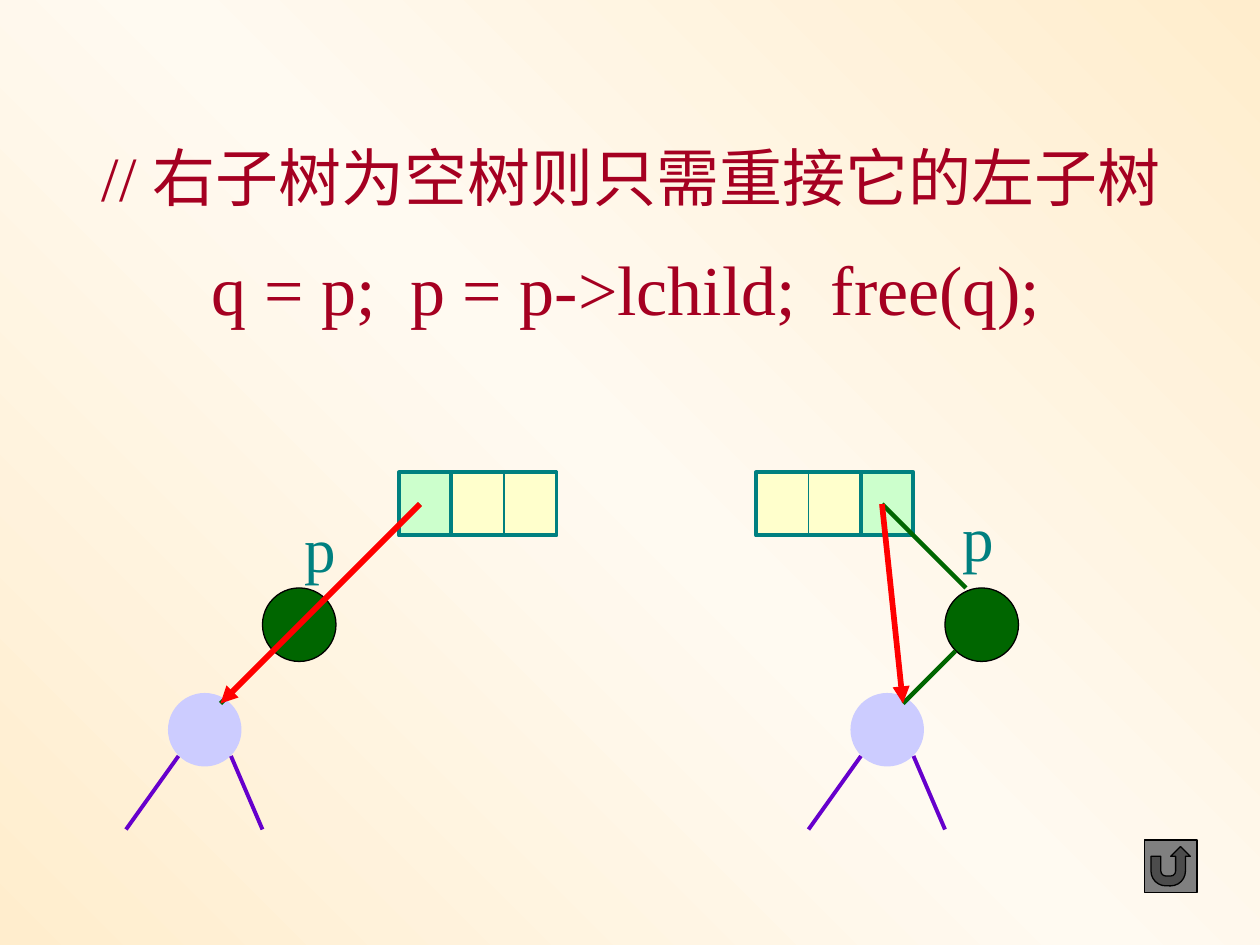
from copy import deepcopy

from pptx import Presentation
from pptx.dml.color import RGBColor
from pptx.enum.shapes import MSO_CONNECTOR, MSO_SHAPE
from pptx.oxml.ns import qn
from pptx.oxml.xmlchemy import OxmlElement
from pptx.util import Inches, Pt

RECTANGLE = MSO_SHAPE.RECTANGLE
OVAL = MSO_SHAPE.OVAL
RETURN_BUTTON = MSO_SHAPE.ACTION_BUTTON_RETURN
STRAIGHT = MSO_CONNECTOR.STRAIGHT

COLORS = {
    "edge_tint": "FFEDCD", "middle_tint": "FFFAF1", "code": "A50021",
    "teal": "008080", "link": "CCFFCC", "data": "FFFFCC",
    "removed": "006600", "child": "CCCCFF", "branch": "6600CC",
    "new_link": "FF0000", "button": "808080", "outline": "000000",
}
COLUMNS, ROWS = 120, 90  # square grid, twelve units to the inch


def color(name):
    return RGBColor.from_string(COLORS[name])


class TreeSlide:
    """Draws on one slide; all lengths are grid columns and rows."""

    font_name = "Times New Roman"

    def __init__(self, deck):
        self.column = deck.slide_width / COLUMNS
        self.row = deck.slide_height / ROWS
        self.page = deck.slides.add_slide(deck.slide_layouts[6])

    def place(self, *lengths):
        units = (self.column, self.row) * 2
        return [round(length * unit) for length, unit in zip(lengths, units)]

    def background(self, names, angle):
        fill = self.page.background.fill
        fill.gradient()
        fill.gradient_angle = angle
        stop_list = self.page._element.find(".//" + qn("a:gsLst"))
        stop_list.insert(1, deepcopy(stop_list[0]))
        for index, (stop, name) in enumerate(zip(fill.gradient_stops, names)):
            stop.color.rgb = color(name)
            stop.position = index / (len(names) - 1)

    def text(self, words, area, size, name, wrap=False, spacing=None):
        box = self.page.shapes.add_textbox(*self.place(*area))
        box.text_frame.word_wrap = wrap
        para = box.text_frame.paragraphs[0]
        para.line_spacing = spacing
        span = para.add_run()
        span.text = words
        for key, value in {"name": self.font_name, "size": Pt(size)}.items():
            setattr(span.font, key, value)
        span.font.color.rgb = color(name)

    def shape(self, kind, area, fill, line=None, width=0.75):
        shape = self.page.shapes.add_shape(kind, *self.place(*area))
        shape.shadow.inherit = False
        shape.fill.solid()
        shape.fill.fore_color.rgb = color(fill)
        if line:
            shape.line.color.rgb = color(line)
            shape.line.width = Pt(width)
        else:
            shape.line.fill.background()
        return shape

    def line(self, start, end, name, width, arrow=False):
        line = self.page.shapes.add_connector(
            STRAIGHT, *self.place(*start, *end))
        line.line.color.rgb = color(name)
        line.line.width = Pt(width)
        if arrow:
            head = OxmlElement("a:tailEnd")
            head.set("type", "triangle")
            line.line._get_or_add_ln().append(head)
        line._element.spPr.append(OxmlElement("a:effectLst"))
        return line

    def parent(self, link_left, data_left):
        """Parent node: one link cell and a divided pair of cells."""
        self.shape(RECTANGLE, (link_left, 45, 5, 6), "link", "teal", 2.25)
        pair = self.shape(RECTANGLE, (data_left, 45, 10, 6),
                          "data", "teal", 2.25)
        middle = data_left + 5
        divider = self.line((middle, 45), (middle, 51), "teal", 0.75)
        divider.begin_connect(pair, 0)
        divider.end_connect(pair, 2)

    def subtree(self, left, link_start, link_end):
        """Node p, its left child, and the link that bypasses p."""
        child_top = (left + 9, 67)
        self.shape(OVAL, (left + 13, 56, 7, 7), "removed", "outline")
        self.shape(OVAL, (left + 4, 66, 7, 7), "child")
        for start, end in ((5, 0), (10, 13)):
            self.line((left + start, 72), (left + end, 79), "branch", 2.25)
        self.line((left + 14, 62), child_top, "removed", 2.5)
        self.line(link_start, link_end, "removed", 2.5)
        self.line(link_start, child_top, "new_link", 3.25, arrow=True)


def main():
    deck = Presentation()
    deck.slide_width, deck.slide_height = Inches(10), Inches(7.5)
    slide = TreeSlide(deck)
    slide.background(("edge_tint", "middle_tint", "edge_tint"), 45)

    # Comment and code
    slide.text(" // 右子树为空树则只需重接它的左子树", (7, 9, 104.75, 12),
               36, "code", wrap=True, spacing=1.5)
    slide.text("q = p;  p = p->lchild;  free(q);", (19, 22.8, 81.5, 9.25),
               40, "code")

    # p as a left child, then p as a right child
    slide.parent(link_left=38, data_left=43)
    slide.subtree(12, (40, 48), (31, 57))
    slide.parent(link_left=82, data_left=72)
    slide.subtree(77, (84, 48), (92, 56))
    for left, top in ((27.85, 47.9), (90.5, 46.9)):
        slide.text("p", (left, top, 5.4, 8.4), 36, "teal")

    # Return button
    slide.shape(RETURN_BUTTON, (109, 80, 5, 5), "button", "outline")
    deck.save("out.pptx")


if __name__ == "__main__":
    main()
